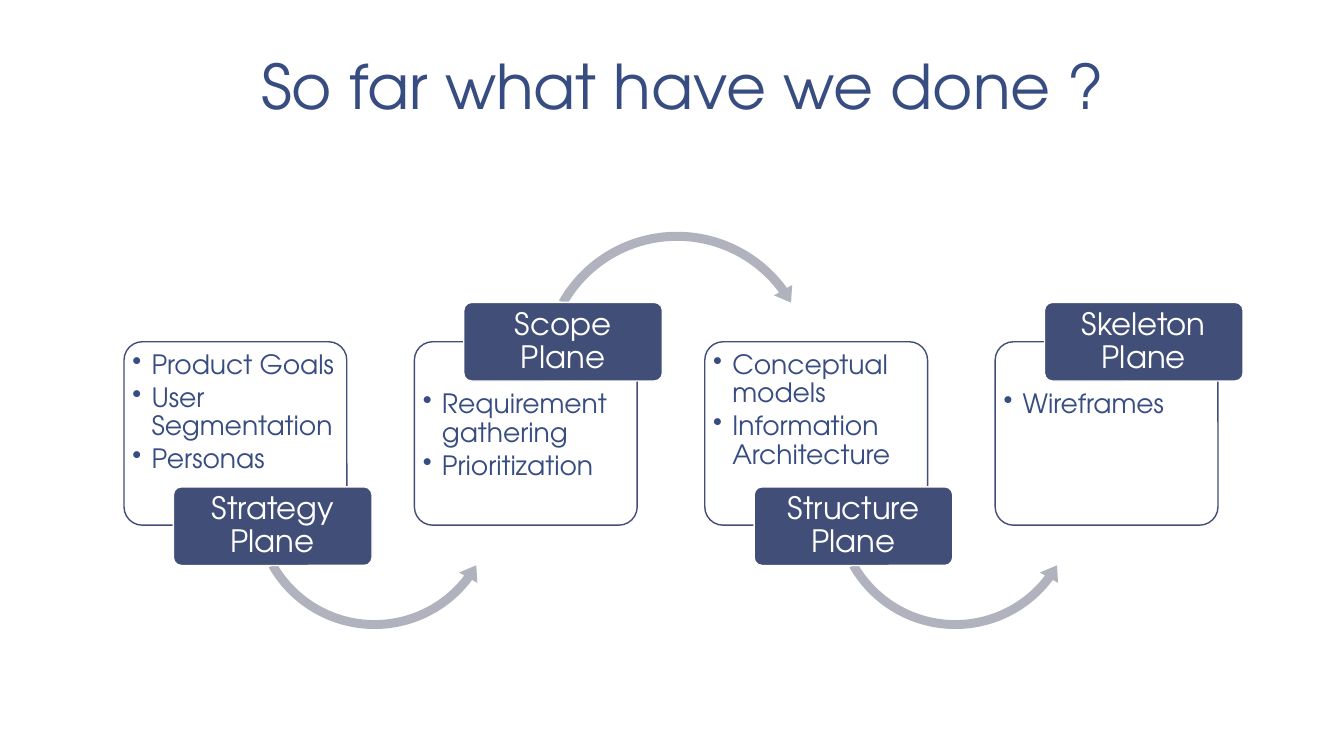
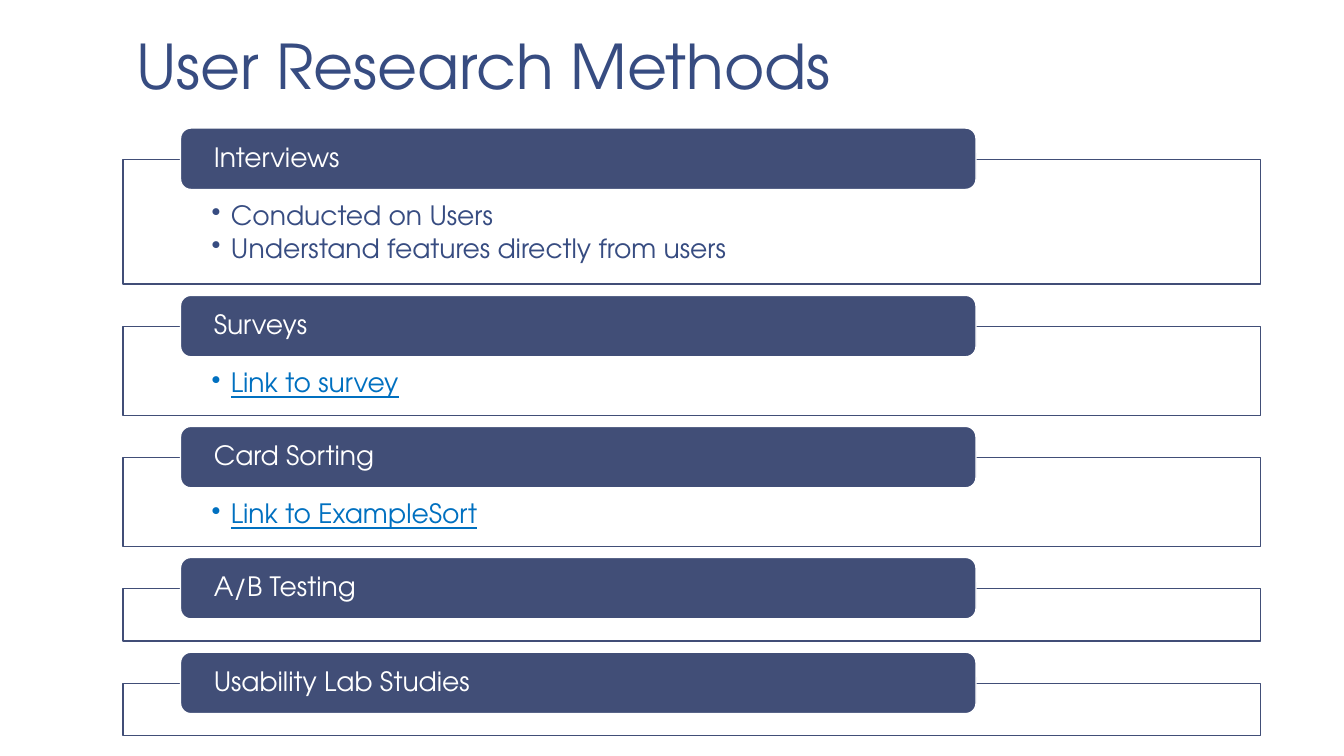
from lxml.etree import SubElement
from pptx import Presentation
from pptx.dml.color import RGBColor
from pptx.enum.shapes import MSO_SHAPE
from pptx.enum.text import MSO_ANCHOR, MSO_AUTO_SIZE, PP_ALIGN
from pptx.oxml.ns import qn
from pptx.util import Emu, Pt

FONT = "TeX Gyre Adventor"
WHITE = "FFFFFF"
NAVY = "414E77"
TEXT_BLUE = "374C81"
LINK_BLUE = "0070C0"
ARROW_GREY = "B0B2BD"

CARD_LEFT, CARD_TOP, CARD_WIDTH, CARD_HEIGHT, CARD_STEP = 123, 339, 221, 182, 288
BADGE_WIDTH, BADGE_HEIGHT, BADGE_OFFSET = 197, 78, 49
BADGE_TOP_UPPER, BADGE_TOP_LOWER = 300, 483
LOWER_ARROW = (MSO_SHAPE.LEFT_CIRCULAR_ARROW, 122, 377, 253, (3.5, 435.7, 2211.2, 9024.5, 4.1))
UPPER_ARROW = (MSO_SHAPE.CIRCULAR_ARROW, 120, 224, 281, (3.2, 388.7, 19435.8, 12575.5, 3.7))

PANEL_LEFT, PANEL_TOP, PANEL_WIDTH, PANEL_GAP = 122, 158, 1128, 42
PANEL_EMPTY_HEIGHT, PANEL_LINE_HEIGHT = 52, 36
BAR_LEFT, BAR_WIDTH, BAR_HEIGHT, BAR_RISE = 179, 789, 61, 31

PLANES = [
    ("Strategy Plane", ["Product Goals", "User Segmentation", "Personas"]),
    ("Scope Plane", ["Requirement gathering", "Prioritization"]),
    ("Structure Plane", ["Conceptual models", "Information Architecture"]),
    ("Skeleton Plane", ["Wireframes"]),
]
METHODS = [
    ("Interviews", ["Conducted on Users", "Understand features directly from users"], False),
    ("Surveys", ["Link to survey"], True),
    ("Card Sorting", ["Link to ExampleSort"], True),
    ("A/B Testing", [], False),
    ("Usability Lab Studies", [], False),
]


def px(length):
    """Turn px, at 100 to the inch, into EMU."""
    return Emu(length * 9144)


def color(hex_string):
    """Turn a hex string into a colour."""
    return RGBColor.from_string(hex_string)


def set_frame(text_frame, insets, anchor):
    """Set the wrapping, insets (left, top, right, bottom) and anchor of a text frame."""
    text_frame.word_wrap = True
    text_frame.auto_size = MSO_AUTO_SIZE.NONE
    text_frame.vertical_anchor = anchor
    text_frame.margin_left, text_frame.margin_top, text_frame.margin_right, text_frame.margin_bottom = map(px, insets)


def format_paragraph(paragraph, size, hex_string, alignment=PP_ALIGN.LEFT, spacing=0.9, underline=False):
    """Format a paragraph and its runs."""
    paragraph.alignment = alignment
    paragraph.line_spacing = spacing
    for run in paragraph.runs:
        run.font.name = FONT
        run.font.size = Pt(size)
        run.font.color.rgb = color(hex_string)
        if underline:
            run.font.underline = True


def add_bullet(paragraph):
    """Give a paragraph a hanging round bullet."""
    properties = paragraph._p.get_or_add_pPr()
    properties.set("marL", str(px(19)))
    properties.set("indent", str(-px(19)))
    SubElement(properties, qn("a:buChar")).set("char", "•")


def add_box(slide, preset, left, top, width, height, fill, line=None):
    """Add a flat preset shape, with a thin outline if a line colour is given."""
    shape = slide.shapes.add_shape(preset, px(left), px(top), px(width), px(height))
    shape.shadow.inherit = False
    shape.fill.solid()
    shape.fill.fore_color.rgb = color(fill)
    if line:
        shape.line.color.rgb = color(line)
        shape.line.width = Pt(1)
    else:
        shape.line.fill.background()
    return shape


def add_list(shape, items, insets, linked=False):
    """Write a bulleted list into a shape."""
    text_frame = shape.text_frame
    set_frame(text_frame, insets, MSO_ANCHOR.TOP)
    text_frame.text = "\n".join(items)
    for paragraph in text_frame.paragraphs:
        format_paragraph(paragraph, 19, LINK_BLUE if linked else TEXT_BLUE, underline=linked)
        paragraph.space_after = Pt(3)
        add_bullet(paragraph)


def add_label(slide, text, left, top, width, height, size, insets, alignment, roundness):
    """Add a navy rounded label with white text."""
    shape = add_box(slide, MSO_SHAPE.ROUNDED_RECTANGLE, left, top, width, height, NAVY, WHITE)
    shape.adjustments[0] = roundness
    set_frame(shape.text_frame, insets, MSO_ANCHOR.MIDDLE)
    shape.text_frame.text = text
    format_paragraph(shape.text_frame.paragraphs[0], size, WHITE, alignment)


def add_arrow(slide, card_left, arrow):
    """Add a curved arrow that leads to the next card."""
    preset, offset, top, side, adjustments = arrow
    shape = add_box(slide, preset, card_left + offset, top, side, side, ARROW_GREY)
    for index, value in enumerate(adjustments):
        shape.adjustments[index] = value / 100


def add_titled_slide(presentation, text, top, height, alignment):
    """Add a slide whose title placeholder has the shared style."""
    slide = presentation.slides.add_slide(presentation.slide_layouts[5])
    title = slide.shapes.title
    title.left, title.top, title.width, title.height = map(px, (122, top, 1111, height))
    set_frame(title.text_frame, (13, 7, 13, 7), MSO_ANCHOR.BOTTOM)
    title.text_frame.text = text
    format_paragraph(title.text_frame.paragraphs[0], 44, TEXT_BLUE, alignment, 0.85)
    return slide


def add_plane(slide, index, name, items):
    """Add one plane: its card, the arrow onwards and its badge."""
    left = CARD_LEFT + index * CARD_STEP
    upper = index % 2 == 1
    card = add_box(slide, MSO_SHAPE.ROUNDED_RECTANGLE, left, CARD_TOP, CARD_WIDTH, CARD_HEIGHT, WHITE, NAVY)
    card.adjustments[0] = 0.1
    add_list(card, items, (3, 43 if upper else 4, 3, 4))
    if index < len(PLANES) - 1:
        add_arrow(slide, left, UPPER_ARROW if upper else LOWER_ARROW)
    badge_top = BADGE_TOP_UPPER if upper else BADGE_TOP_LOWER
    add_label(slide, name, left + BADGE_OFFSET, badge_top, BADGE_WIDTH, BADGE_HEIGHT,
              22, (5, 3, 5, 3), PP_ALIGN.CENTER, 0.1)


def add_method(slide, top, name, items, linked):
    """Add one method's panel and bar, and return the panel's bottom."""
    height = PANEL_EMPTY_HEIGHT + PANEL_LINE_HEIGHT * len(items)
    panel = add_box(slide, MSO_SHAPE.RECTANGLE, PANEL_LEFT, top, PANEL_WIDTH, height, WHITE, NAVY)
    if items:
        add_list(panel, items, (88, 43, 88, 15), linked)
    add_label(slide, name, BAR_LEFT, top - BAR_RISE, BAR_WIDTH, BAR_HEIGHT,
              19, (30, 0, 30, 0), PP_ALIGN.LEFT, 0.17)
    return top + height


def build_planes_slide(presentation):
    """Build the slide of the four planes."""
    slide = add_titled_slide(presentation, "So far what have we done ?", 25, 103, PP_ALIGN.CENTER)
    for index, (name, items) in enumerate(PLANES):
        add_plane(slide, index, name, items)


def build_methods_slide(presentation):
    """Build the slide of research methods."""
    slide = add_titled_slide(presentation, "User Research Methods", 8, 100, PP_ALIGN.LEFT)
    top = PANEL_TOP
    for name, items, linked in METHODS:
        top = add_method(slide, top, name, items, linked) + PANEL_GAP


def main():
    """Build and save the presentation."""
    presentation = Presentation()
    presentation.slide_width = px(1333)
    presentation.slide_height = px(750)
    build_planes_slide(presentation)
    build_methods_slide(presentation)
    presentation.save("out.pptx")


if __name__ == "__main__":
    main()
